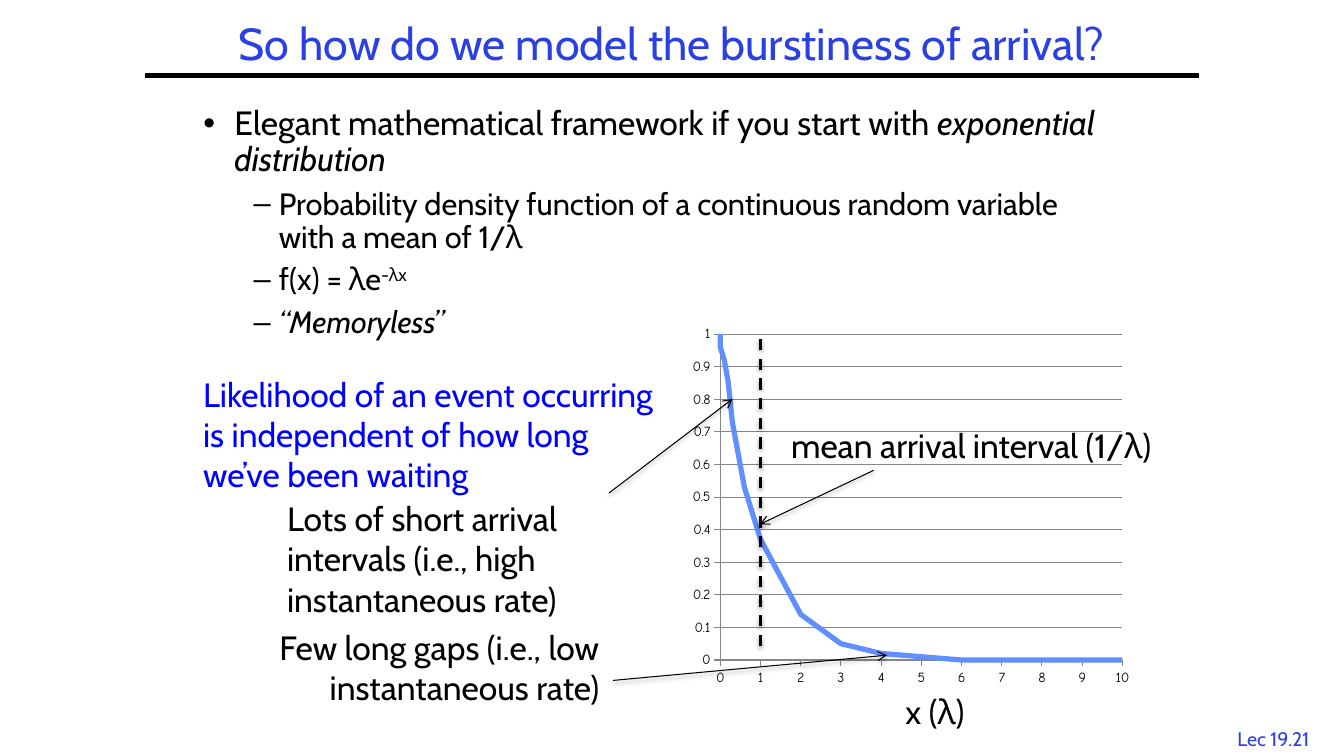
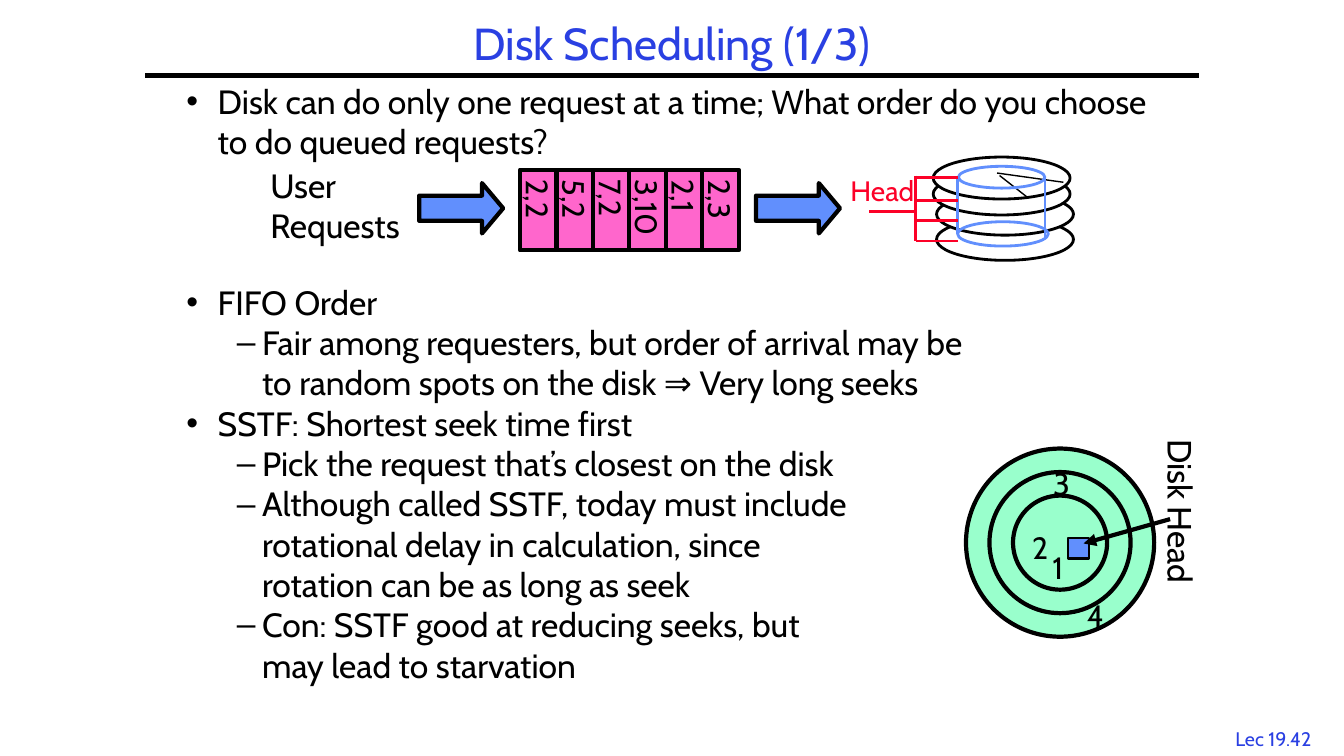
from lxml import etree
from pptx import Presentation
from pptx.chart.data import XyChartData
from pptx.dml.color import RGBColor
from pptx.enum.chart import XL_CHART_TYPE, XL_TICK_MARK
from pptx.enum.dml import MSO_LINE
from pptx.enum.shapes import MSO_CONNECTOR, MSO_SHAPE
from pptx.enum.text import MSO_ANCHOR, MSO_AUTO_SIZE, PP_ALIGN
from pptx.oxml import parse_xml
from pptx.oxml.ns import nsdecls, qn
from pptx.util import Inches, Pt

BLACK = RGBColor(0x00, 0x00, 0x00)
WHITE = RGBColor(0xFF, 0xFF, 0xFF)
TITLE_BLUE = RGBColor(0x2A, 0x40, 0xE2)
NOTE_BLUE = RGBColor(0x00, 0x00, 0xFF)
SHAPE_BLUE = RGBColor(0x61, 0x8F, 0xFD)
RED = RGBColor(0xFC, 0x01, 0x28)
PINK = RGBColor(0xFF, 0x66, 0xCC)
MINT = RGBColor(0x99, 0xFF, 0xCC)
GRAY = RGBColor(0x86, 0x86, 0x86)

LEFT, CENTER, RIGHT = PP_ALIGN.LEFT, PP_ALIGN.CENTER, PP_ALIGN.RIGHT
MIDDLE = MSO_ANCHOR.MIDDLE
NO_FIT, GROW = MSO_AUTO_SIZE.NONE, MSO_AUTO_SIZE.SHAPE_TO_FIT_TEXT
RECTANGLE, OVAL, ARROW = MSO_SHAPE.RECTANGLE, MSO_SHAPE.OVAL, MSO_SHAPE.RIGHT_ARROW
STRAIGHT = MSO_CONNECTOR.STRAIGHT
DASH = MSO_LINE.DASH
SCATTER = XL_CHART_TYPE.XY_SCATTER_LINES_NO_MARKERS
TICK_OUT, TICK_NONE = XL_TICK_MARK.OUTSIDE, XL_TICK_MARK.NONE

CELL = Pt(6)
COLUMNS, ROWS = 160, 90
FONT, CHART_FONT = "Cabin", "Comic Neue"
INDENTS = ((0.31, -0.31), (0.75, -0.25))
RULE_LEFT, RULE_RIGHT, RULE_ROW = 17.3, 142.7, 9


def grid(*cells):
    return [round(cell * CELL) for cell in cells]


class Deck:
    def __init__(self):
        self.presentation = Presentation()
        self.presentation.slide_width, self.presentation.slide_height = grid(COLUMNS, ROWS)
        self.slide = None

    def add_slide(self, title, number):
        layout = self.presentation.slide_layouts[1]
        self.slide = self.presentation.slides.add_slide(layout)
        self.text((145.1, 85.9, 13, 4), number, 14, TITLE_BLUE, CENTER, wrap=False)
        self.line((RULE_LEFT, RULE_ROW), (RULE_RIGHT, RULE_ROW), BLACK, 3)
        holder = self.slide.shapes.title
        self.place(holder, (RULE_LEFT, 2, RULE_RIGHT - RULE_LEFT, 7))
        holder.text_frame.vertical_anchor = MIDDLE
        self.fill_frame(holder.text_frame, title, 32, TITLE_BLUE, CENTER, 0.9)

    def place(self, holder, box):
        holder.left, holder.top, holder.width, holder.height = grid(*box)
        holder.text_frame.word_wrap = True
        holder.text_frame.auto_size = NO_FIT

    def add_text_run(self, paragraph, text, size, color=BLACK, style=""):
        for index, part in enumerate(text.split("\n")):
            if index:
                paragraph.add_line_break()
            run = paragraph.add_run()
            run.text = part
            run.font.name = FONT
            run.font.size = Pt(size)
            run.font.color.rgb = color
            if style == "italic":
                run.font.italic = True
            if style == "superscript":
                run._r.get_or_add_rPr().set("baseline", "30000")

    def body(self, box, items, sizes, line_spacing=1.0):
        holder = self.slide.placeholders[1]
        self.place(holder, box)
        frame = holder.text_frame
        for index, (level, space, runs) in enumerate(items):
            paragraph = frame.add_paragraph() if index else frame.paragraphs[0]
            paragraph.level = level
            paragraph.line_spacing = line_spacing
            paragraph.space_before = Pt(space)
            margin, indent = INDENTS[level]
            properties = paragraph._p.get_or_add_pPr()
            properties.set("marL", str(Inches(margin)))
            properties.set("indent", str(Inches(indent)))
            for text, style in runs:
                self.add_text_run(paragraph, text, sizes[level], style=style)

    def fill_frame(self, frame, text, size, color, align, spacing=1.0):
        for index, part in enumerate(text.split("\n")):
            paragraph = frame.add_paragraph() if index else frame.paragraphs[0]
            paragraph.alignment = align
            paragraph.line_spacing = spacing
            self.add_text_run(paragraph, part, size, color)

    def text(self, box, text, size=24, color=BLACK, align=LEFT, wrap=True, spacing=1.0):
        shape = self.slide.shapes.add_textbox(*grid(*box))
        shape.text_frame.word_wrap = wrap
        shape.text_frame.auto_size = GROW
        self.fill_frame(shape.text_frame, text, size, color, align, spacing)
        return shape

    def shape(self, kind, box, fill, line, width):
        shape = self.slide.shapes.add_shape(kind, *grid(*box))
        shape.shadow.inherit = False
        if fill is None:
            shape.fill.background()
        else:
            shape.fill.solid()
            shape.fill.fore_color.rgb = fill
        shape.line.color.rgb = line
        shape.line.width = Pt(width)
        return shape

    def vertical_cell(self, box, text):
        shape = self.shape(RECTANGLE, box, PINK, BLACK, 3)
        frame = shape.text_frame
        frame.word_wrap = False
        frame.vertical_anchor = MIDDLE
        frame._txBody.bodyPr.set("vert", "eaVert")
        self.fill_frame(frame, text, 22, BLACK, LEFT)

    def line(self, start, end, color=BLACK, width=2, arrow=None, dash=None, shadow=False):
        connector = self.slide.shapes.add_connector(STRAIGHT, *grid(*start, *end))
        connector.line.color.rgb = color
        connector.line.width = Pt(width)
        if dash is not None:
            connector.line.dash_style = dash
        if arrow:
            outline = connector.line._get_or_add_ln()
            etree.SubElement(outline, qn("a:tailEnd")).set("type", arrow)
        effects = etree.SubElement(connector._element.spPr, qn("a:effectLst"))
        if shadow:
            effects.append(parse_xml(
                f'<a:outerShdw {nsdecls("a")} blurRad="{Pt(3.1)}" dist="{Pt(1.6)}" '
                'dir="5400000" rotWithShape="0"><a:srgbClr val="000000">'
                '<a:alpha val="38000"/></a:srgbClr></a:outerShdw>'))

    def curve(self, box, points, plot_area):
        data = XyChartData()
        series = data.add_series("Series 1")
        for x, y in points:
            series.add_data_point(x, y)
        chart = self.slide.shapes.add_chart(SCATTER, *grid(*box), data).chart
        chart.has_title = False
        chart.has_legend = False
        chart.font.name = CHART_FONT
        chart.font.size = Pt(10)
        chart.font.color.rgb = BLACK
        plot = chart.plots[0]
        plot.vary_by_categories = False
        plot.series[0].smooth = False
        plot.series[0].format.line.color.rgb = SHAPE_BLUE
        plot.series[0].format.line.width = Pt(3.75)
        axes = ((chart.category_axis, 10, 1, False), (chart.value_axis, 1, 0.1, True))
        for axis, maximum, unit, gridlines in axes:
            axis.minimum_scale, axis.maximum_scale, axis.major_unit = 0, maximum, unit
            axis.major_tick_mark, axis.minor_tick_mark = TICK_OUT, TICK_NONE
            axis.has_title = False
            axis.has_major_gridlines = gridlines
            axis.format.line.color.rgb = GRAY
            if gridlines:
                axis.major_gridlines.format.line.color.rgb = GRAY
        area = chart._chartSpace.chart.plotArea
        for old in area.findall(qn("c:layout")):
            area.remove(old)
        sizes = "".join(f'<c:{name} val="{share}"/>' for name, share in zip("xywh", plot_area))
        area.insert(0, parse_xml(
            f'<c:layout {nsdecls("c")}><c:manualLayout><c:layoutTarget val="inner"/>'
            f'<c:xMode val="edge"/><c:yMode val="edge"/>{sizes}'
            '</c:manualLayout></c:layout>'))


def arrival_slide(deck):
    deck.add_slide("So how do we model the burstiness of arrival?", "Lec 19.21")
    deck.body((23, 12.1, 111, 68.4), (
        (0, 0, (("Elegant mathematical framework if you start with ", ""),
                ("exponential distribution", "italic"))),
        (1, 6.6, (("Probability density function of a continuous random variable "
                   "with a mean of 1/λ", ""),)),
        (1, 6.6, (("f(x) = λe", ""), ("-λx", "superscript"))),
        (1, 6.6, (("“Memoryless”", "italic"),)),
    ), (24, 22), 0.9)
    intervals = (0, 0, 0, 0, 0.1, 0.2, 0.3, 0.6, 1, 2, 3, 4, 5, 6, 7, 8, 10)
    densities = (1, 0.99, 0.98, 0.96, 0.92, 0.85, 0.73, 0.53, 0.37, 0.14, 0.05,
                 0.02, 0.01, 0, 0, 0, 0)
    deck.curve((81.4, 38, 54.4, 44.6), zip(intervals, densities), (0.08, 0.04, 0.88, 0.87))
    deck.text((23, 43.9, 56, 15.7), "Likelihood of an event occurring is independent of "
              "how long we’ve been waiting", color=NOTE_BLUE)
    deck.text((33, 58.7, 48.5, 15.7),
              "Lots of short arrival intervals (i.e., high instantaneous rate)")
    deck.text((27.2, 74, 45.3, 10.9), "Few long gaps (i.e., low instantaneous rate)", align=RIGHT)
    deck.text((106.6, 81.7, 10.3, 6), "x (λ)", wrap=False)
    deck.line((90.5, 76.9), (90.5, 40), dash=DASH, shadow=True)
    deck.text((93, 50, 48, 6), "mean arrival interval (1/λ)", wrap=False)
    for start, end in (((72.5, 58.7), (87.2, 47.5)),
                       ((73, 81), (105.6, 78)),
                       ((104, 56), (90.5, 62.4))):
        deck.line(start, end, width=0.75, arrow="arrow", shadow=True)


def draw_queue(deck):
    deck.text((31, 19, 19.4, 10.9), "User\nRequests", wrap=False)
    cell_width = 4.34
    for index, request in enumerate(("2,2", "5,2", "7,2", "3,10", "2,1", "2,3")):
        deck.vertical_cell((61.9 + index * cell_width, 20.2, cell_width, 9.6), request)
    for left in (49.9, 90):
        arrow = deck.shape(ARROW, (left, 21.8, 10, 6), SHAPE_BLUE, BLACK, 3)
        arrow.adjustments[0], arrow.adjustments[1] = 0.5, 0.42


def draw_disk_stack(deck):
    for left, top in ((111.5, 26), (111.5, 23), (111.1, 20.6), (111.1, 18.7)):
        deck.shape(OVAL, (left, top, 16.3, 5), WHITE, BLACK, 2)
    deck.line((119, 20.9), (122.2, 23.4), width=1)
    deck.line((118.7, 20.6), (126.6, 21.7), width=1)
    for box in ((114, 26.4, 10.8, 2.9), (114.1, 19.8, 10.3, 2.6)):
        deck.shape(OVAL, box, None, SHAPE_BLUE, 2)
    for column, bottom in ((114, 27.8), (124.4, 28.3)):
        deck.line((column, 21.1), (column, bottom), SHAPE_BLUE)
    label = deck.text((100.4, 20.9, 9.7, 4.1), "Head", 20, RED, wrap=False, spacing=0.85)
    frame = label.text_frame
    frame.margin_left = frame.margin_right = Inches(0.07)
    frame.margin_top = frame.margin_bottom = Inches(0.03)
    deck.line((109, 20.9), (109, 28.7), RED)
    for row in (21.1, 23.9, 26.3, 28.7):
        deck.line((109, row), (114, row), RED)
    deck.line((109, 25.2), (103.4, 25.2), RED)


def draw_tracks(deck):
    center_column, center_row = 126.2, 64.6
    for radius in (11.2, 8.4, 5.6):
        box = (center_column - radius, center_row - radius, 2 * radius, 2 * radius)
        deck.shape(OVAL, box, MINT, BLACK, 3)
    deck.shape(RECTANGLE, (127.1, 64.1, 2.5, 2.4), SHAPE_BLUE, BLACK, 1.5)
    for label, left, top in (("1", 124.1, 64.7), ("4", 128.2, 70.4),
                             ("2", 121.7, 62.3), ("3", 124.2, 54.7)):
        deck.text((left, top, 4.4, 5.6), label, 22, wrap=False)
    deck.text((130.1, 58.6, 21, 6), "Disk Head", wrap=False).rotation = 90
    deck.line((139.3, 61.8), (129, 64.7), width=3, arrow="triangle")


def scheduling_slide(deck):
    deck.add_slide("Disk Scheduling (1/3)", "Lec 19.42")
    items = (
        (0, 0, "Disk can do only one request at a time; What order do you choose "
               "to do queued requests?"),
        (0, 86, "FIFO Order"),
        (1, 0, "Fair among requesters, but order of arrival may be\n"
               "to random spots on the disk ⇒ Very long seeks"),
        (0, 0, "SSTF: Shortest seek time first"),
        (1, 0, "Pick the request that’s closest on the disk"),
        (1, 0, "Although called SSTF, today must include\n"
               "rotational delay in calculation, since\nrotation can be as long as seek"),
        (1, 0, "Con: SSTF good at reducing seeks, but\nmay lead to starvation"),
    )
    deck.body((21, 9, 119, 79),
              [(level, space, ((text, ""),)) for level, space, text in items], (24, 24))
    draw_queue(deck)
    draw_disk_stack(deck)
    draw_tracks(deck)


def main():
    deck = Deck()
    arrival_slide(deck)
    scheduling_slide(deck)
    deck.presentation.save("out.pptx")


if __name__ == "__main__":
    main()
